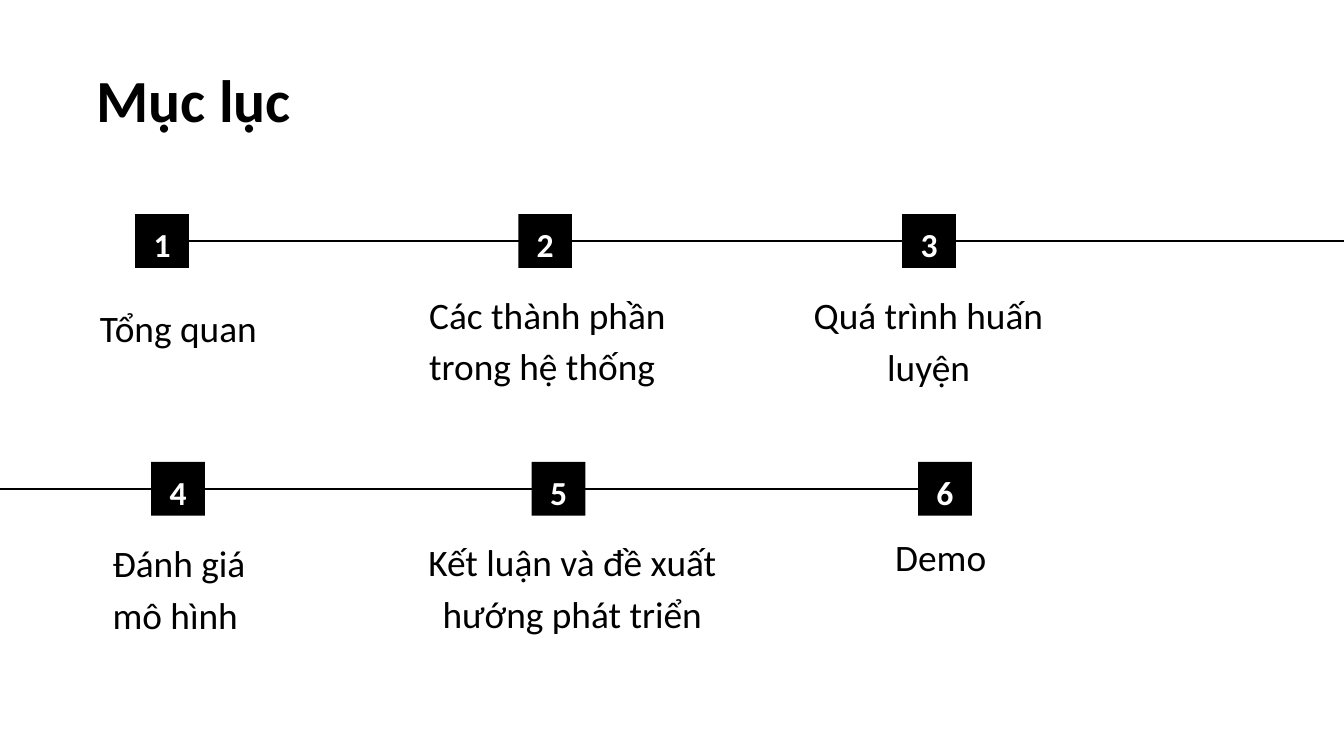
from dataclasses import dataclass

from lxml.etree import SubElement
from pptx import Presentation
from pptx.dml.color import RGBColor
from pptx.enum.shapes import MSO_CONNECTOR as Connector, MSO_SHAPE as Shape
from pptx.enum.text import MSO_ANCHOR as Anchor, MSO_AUTO_SIZE as AutoSize, PP_ALIGN as Align
from pptx.oxml.ns import qn
from pptx.util import Inches, Pt

COLUMNS, ROWS = 16, 9
RIGHT_SIDE, LEFT_SIDE = 3, 1


@dataclass(frozen=True)
class Theme:
    font: str = "Calibri"
    ink: RGBColor = RGBColor(0, 0, 0)
    paper: RGBColor = RGBColor(255, 255, 255)
    title_size: float = 51.2
    label_size: float = 32
    number_size: float = 28.8
    line_width: float = 1.5
    inset: float = 0.16


@dataclass(frozen=True)
class Box:
    """A rectangle in grid columns and rows."""
    left: float
    top: float
    width: float
    height: float

    def inside(self, left, top, width, height):
        return Box(self.left + left, self.top + top, width, height)

    def lengths(self):
        return [Inches(value) for value in (self.left, self.top, self.width, self.height)]


@dataclass(frozen=True)
class Step:
    """A numbered marker and its label, measured from the corner of its row."""
    number: int
    marker_left: float
    text: str
    label: tuple
    align: Align = Align.LEFT


THEME = Theme()
TITLE_BOX = Box(0.99, 0.68, 13.48, 1)
MARKER = 0.64
FIRST_ROW = Box(0, 2.55, COLUMNS, MARKER)
SECOND_ROW = Box(0, 5.5, COLUMNS, MARKER)

FIRST_STEPS = [
    Step(1, 1.61, "Tổng quan", (1.03, 0.44, 4.03, 1.34)),
    Step(2, 6.17, "Các thành phần trong hệ thống", (4.95, 1.56, 4.03, 0.67)),
    Step(3, 10.74, "Quá trình huấn luyện", (9.04, 1.57, 4.03, 0.67), Align.CENTER),
]
SECOND_STEPS = [
    Step(4, 1.8, "Đánh giá mô hình", (1.18, 1.46, 2.52, 0.78)),
    Step(5, 6.33, "Kết luận và đề xuất hướng phát triển", (4.8, 1.38, 4.03, 0.85), Align.CENTER),
    Step(6, 10.93, "Demo", (10.1, 0.91, 2.2, 0.64), Align.CENTER),
]


def write(shape, text, *, size, color=THEME.ink, bold=False, align=Align.LEFT,
          anchor=Anchor.BOTTOM, spacing=1.15):
    frame = shape.text_frame
    frame.word_wrap = True
    frame.auto_size = AutoSize.NONE
    frame.vertical_anchor = anchor
    frame.margin_left = frame.margin_right = Inches(THEME.inset)
    frame.margin_top = frame.margin_bottom = Inches(THEME.inset)
    para = frame.paragraphs[0]
    para.alignment = align
    para.line_spacing = spacing
    span = para.add_run()
    span.text = text
    span.font.name = THEME.font
    span.font.size = Pt(size)
    span.font.bold = bold
    span.font.color.rgb = color


def add_title(slide, box, text):
    title = slide.shapes.title
    title.left, title.top, title.width, title.height = box.lengths()
    write(title, text, size=THEME.title_size, bold=True, anchor=Anchor.TOP, spacing=0.9)


def add_line(slide, box):
    """Draw a line along the middle of the box."""
    left, top, width, height = box.lengths()
    middle = top + height // 2
    line = slide.shapes.add_connector(Connector.STRAIGHT, left, middle, left + width, middle)
    line.line.color.rgb = THEME.ink
    line.line.width = Pt(THEME.line_width)
    SubElement(line._element.spPr, qn("a:effectLst"))
    return line


def add_marker(slide, box, number):
    marker = slide.shapes.add_shape(Shape.RECTANGLE, *box.lengths())
    marker.shadow.inherit = False
    marker.fill.solid()
    marker.fill.fore_color.rgb = THEME.ink
    marker.line.fill.background()
    write(marker, str(number), size=THEME.number_size, color=THEME.paper, bold=True,
          align=Align.CENTER, anchor=Anchor.MIDDLE)
    return marker


def add_steps(slide, box, steps):
    """Place the line behind its markers and return it with the markers."""
    line = add_line(slide, box)
    markers = []
    for step in steps:
        marker_box = box.inside(step.marker_left, 0, MARKER, MARKER)
        markers.append(add_marker(slide, marker_box, step.number))
        label = slide.shapes.add_textbox(*box.inside(*step.label).lengths())
        write(label, step.text, size=THEME.label_size, align=step.align)
    return line, markers


def main():
    deck = Presentation()
    deck.slide_width, deck.slide_height = Inches(COLUMNS), Inches(ROWS)
    slide = deck.slides.add_slide(deck.slide_layouts[5])
    slide.background.fill.solid()
    slide.background.fill.fore_color.rgb = THEME.paper
    add_title(slide, TITLE_BOX, "Mục lục")
    line, markers = add_steps(slide, FIRST_ROW, FIRST_STEPS)
    line.begin_connect(markers[0], RIGHT_SIDE)
    line, markers = add_steps(slide, SECOND_ROW, SECOND_STEPS)
    line.end_connect(markers[-1], LEFT_SIDE)
    deck.save("out.pptx")


if __name__ == "__main__":
    main()
